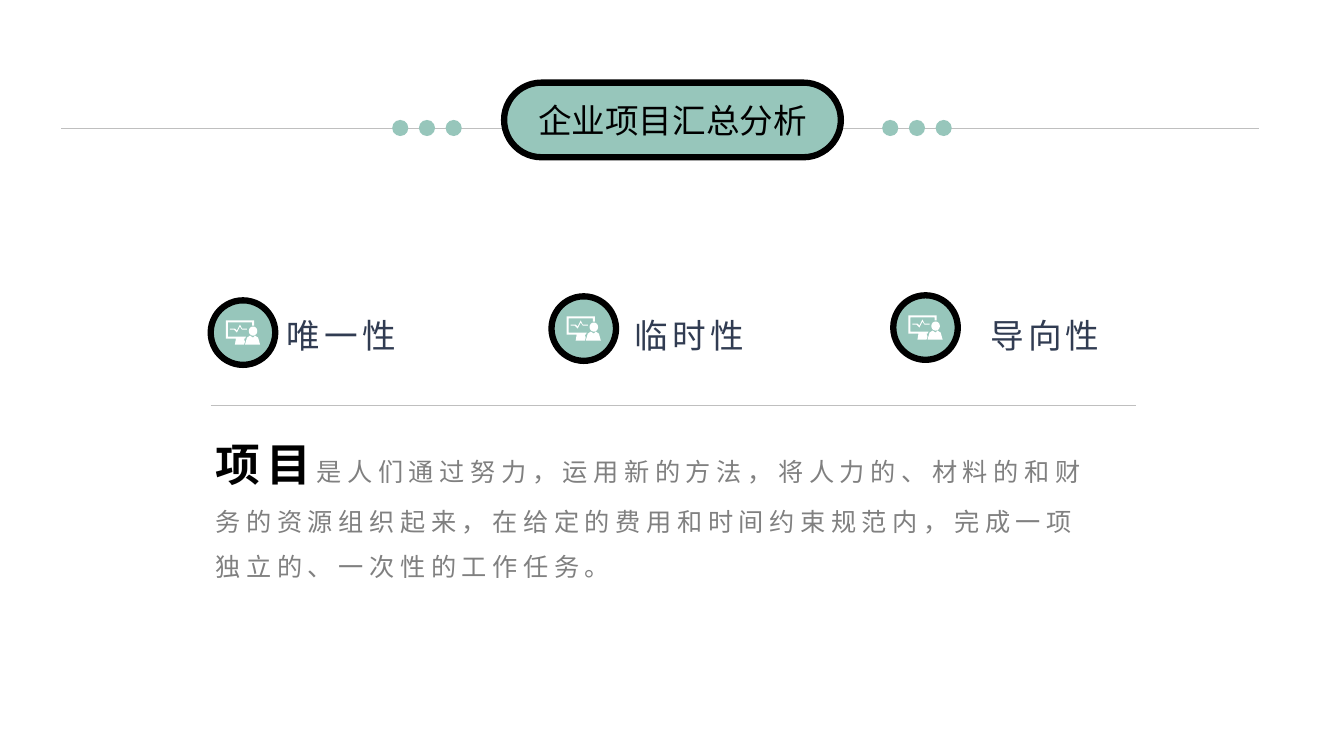
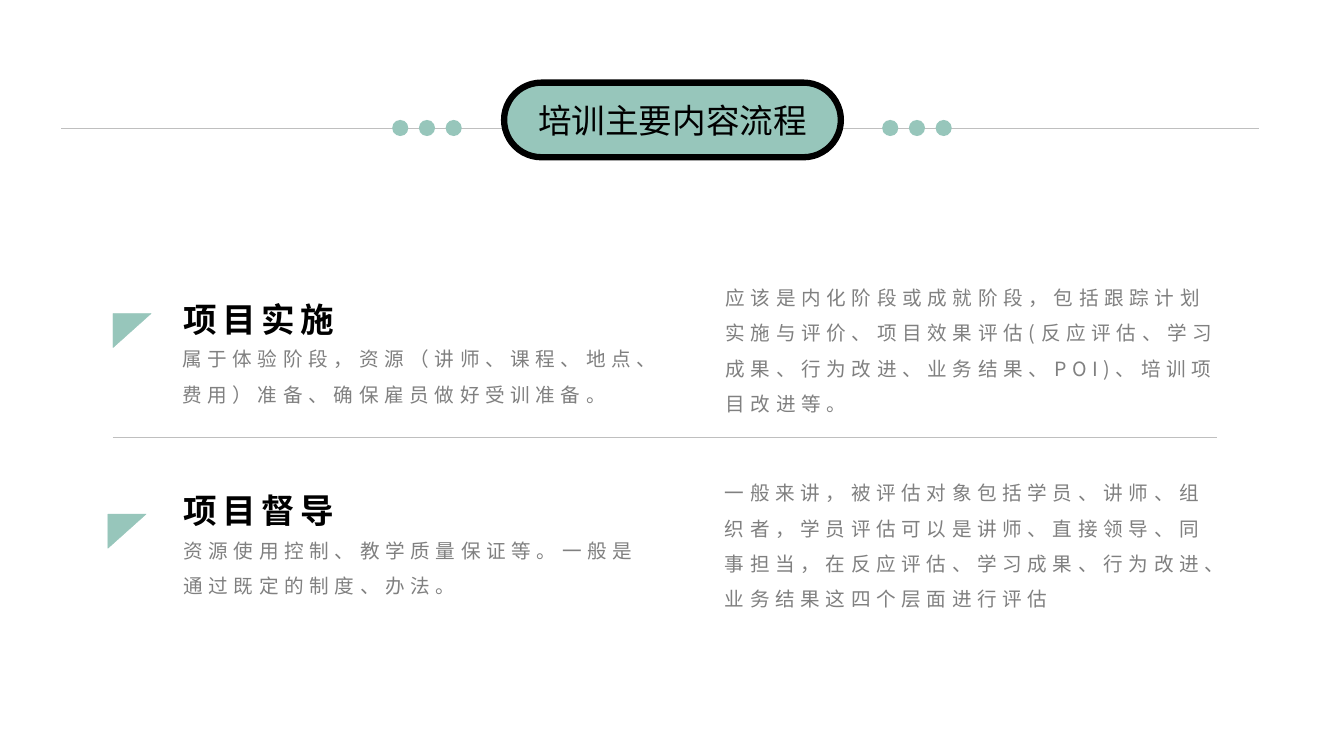
from dataclasses import dataclass
from math import cos, pi, sin

from pptx import Presentation
from pptx.dml.color import RGBColor
from pptx.enum.shapes import MSO_CONNECTOR, MSO_SHAPE
from pptx.enum.text import MSO_ANCHOR, MSO_AUTO_SIZE, PP_ALIGN
from pptx.oxml.ns import qn
from pptx.util import Inches, Pt

# Shared look
MINT, BLACK, WHITE = "97C6BB", "000000", "FFFFFF"
RULE_GREY, TEXT_GREY, NAVY = "BFBFBF", "808080", "313C52"
FONT, LABEL_FONT = "Noto Sans CJK JP", "Noto Sans CJK SC"

# Icon outlines, in hundredths of an inch
SCREEN = [(0, 0), (28, 0), (28, 5), (26, 5), (26, 2), (2, 2), (2, 16), (20, 16),
          (19, 18), (18, 18), (19, 21), (18, 24), (9, 24), (10, 18), (0, 18)]
PULSE = [(4, 8), (9, 8), (11, 10), (14, 4), (16, 8), (21, 8),
         (21, 9), (16, 9), (14, 6), (11, 12), (8, 9), (4, 9)]
BODY = [(24, 15), (27, 17), (29, 15), (32, 17), (34, 24), (19, 24), (21, 17)]
HEAD = [(27 + 4.2 * cos(step * pi / 12), 10.5 + 4.5 * sin(step * pi / 12))
        for step in range(24)]
TRIANGLE = [(0, 0), (38, 0), (0, 34)]


@dataclass
class Feature:
    label: str
    label_left: float
    left: float
    top: float


@dataclass
class Stage:
    heading: str
    summary: str
    detail: str
    marker: tuple[float, float]
    heading_top: float
    summary_box: tuple[float, float, float, float]
    detail_box: tuple[float, float, float, float]


FEATURES = [
    Feature("唯一性", 2.67, 2.09, 2.98),
    Feature("临时性", 6.12, 5.47, 2.94),
    Feature("导向性", 9.65, 8.86, 2.93),
]
STAGES = [
    Stage("项目实施",
          "属于体验阶段，资源（讲师、课程、地点、费用）准备、确保雇员做好受训准备。",
          "应该是内化阶段或成就阶段，包括跟踪计划实施与评价、项目效果评估(反应评估、"
          "学习成果、行为改进、业务结果、POI)、培训项目改进等。",
          (1.12, 3.11), 2.72, (1.71, 3.28, 4.96, 0.77), (7.1, 2.67, 5.17, 1.48)),
    Stage("项目督导",
          "资源使用控制、教学质量保证等。一般是通过既定的制度、办法。",
          "一般来讲，被评估对象包括学员、讲师、组织者，学员评估可以是讲师、直接领导、"
          "同事担当，在反应评估、学习成果、行为改进、业务结果这四个层面进行评估",
          (1.07, 5.1), 4.61, (1.72, 5.18, 4.77, 0.77), (7.09, 4.61, 4.98, 1.48)),
]


# Drawing helpers
def colour(value: str) -> RGBColor:
    return RGBColor.from_string(value)


def paint(shape, fill: str, line: str | None = None, weight: float = 0) -> None:
    shape.shadow.inherit = False
    shape.fill.solid()
    shape.fill.fore_color.rgb = colour(fill)
    if line:
        shape.line.color.rgb = colour(line)
        shape.line.width = Pt(weight)
    else:
        shape.line.fill.background()


def add_span(para, text: str, *, size: float, color: str, font: str = FONT,
             bold: bool = False, spacing: float = 0) -> None:
    span = para.add_run()
    span.text = text
    span.font.size = Pt(size)
    span.font.bold = bold
    span.font.color.rgb = colour(color)
    span.font.name = font
    properties = span.font._element
    properties.set("lang", "zh-CN")
    properties.set("spc", str(int(spacing * 100)))
    east_asian = properties.makeelement(qn("a:ea"), {"typeface": font})
    properties.find(qn("a:latin")).addnext(east_asian)


def add_box(page, left: float, top: float, width: float, height: float, *,
            align=PP_ALIGN.LEFT, line_spacing: float = 1.5):
    box = page.shapes.add_textbox(Inches(left), Inches(top), Inches(width), Inches(height))
    box.text_frame.word_wrap = True
    box.text_frame.auto_size = MSO_AUTO_SIZE.SHAPE_TO_FIT_TEXT
    para = box.text_frame.paragraphs[0]
    para.alignment = align
    para.line_spacing = line_spacing
    return para


def add_preset(shapes, kind, left: float, top: float, width: float, height: float,
               **look):
    shape = shapes.add_shape(kind, Inches(left), Inches(top), Inches(width), Inches(height))
    paint(shape, MINT, **look)
    return shape


def add_rule(page, left: float, right: float, top: float) -> None:
    rule = page.shapes.add_connector(MSO_CONNECTOR.STRAIGHT, Inches(left), Inches(top),
                                     Inches(right), Inches(top))
    rule.line.color.rgb = colour(RULE_GREY)
    rule.line.width = Pt(0.25)
    properties = rule._element.spPr
    properties.append(properties.makeelement(qn("a:effectLst"), {}))


def add_outline(page, outlines, left: float, top: float, fill: str, **look) -> None:
    contours = [[(Inches(x / 100), Inches(y / 100)) for x, y in outline]
                for outline in outlines]
    builder = page.shapes.build_freeform(*contours[0][0])
    for index, (start, *rest) in enumerate(contours):
        if index:
            builder.move_to(*start)
        builder.add_line_segments(rest, close=True)
    paint(builder.convert_to_shape(Inches(left), Inches(top)), fill, **look)


def add_page(deck, title: str):
    page = deck.slides.add_slide(deck.slide_layouts[6])
    add_rule(page, 0.61, 12.49, 1.27)
    pill = add_preset(page.shapes, MSO_SHAPE.ROUNDED_RECTANGLE, 5, 0.82, 3.34, 0.74,
                      line=BLACK, weight=4.5)
    pill.adjustments[0] = 0.5
    pill.text_frame.vertical_anchor = MSO_ANCHOR.MIDDLE
    para = pill.text_frame.paragraphs[0]
    para.alignment = PP_ALIGN.CENTER
    add_span(para, title, size=24, color=BLACK)
    for first_left in (3.89, 8.75):
        dots = page.shapes.add_group_shape()
        for index in range(3):
            add_preset(dots.shapes, MSO_SHAPE.OVAL, first_left + index * 0.265, 1.19,
                       0.16, 0.16)
    return page


# Slides
def add_summary_page(deck) -> None:
    page = add_page(deck, "企业项目汇总分析")
    for feature in FEATURES:
        add_preset(page.shapes, MSO_SHAPE.OVAL, feature.left, feature.top, 0.64, 0.64,
                   line=BLACK, weight=4.5)
        add_outline(page, [SCREEN, PULSE, BODY, HEAD], feature.left + 0.15,
                    feature.top + 0.2, WHITE)
        label = add_box(page, feature.label_left, 3.08, 1.43, 0.5,
                        align=PP_ALIGN.CENTER, line_spacing=1.0)
        add_span(label, feature.label, size=24, color=NAVY, font=LABEL_FONT, spacing=3)
    add_rule(page, 2.09, 11.27, 4.02)
    para = add_box(page, 2.04, 4.02, 9.05, 1.77)
    add_span(para, "项目", size=32, color=BLACK, bold=True, spacing=4)
    add_span(para, "是人们通过努力，运用新的方法，将人力的、材料的和财务的资源组织起来，"
             "在给定的费用和时间约束规范内，完成一项独立的、一次性的工作任务。",
             size=18, color=TEXT_GREY, spacing=4)


def add_process_page(deck) -> None:
    page = add_page(deck, "培训主要内容流程")
    add_rule(page, 1.12, 12.07, 4.34)
    for stage in STAGES:
        add_outline(page, [TRIANGLE], *stage.marker, MINT, line=MINT, weight=0.25)
        heading = add_box(page, 1.72, stage.heading_top, 1.87, 0.64)
        add_span(heading, stage.heading, size=24, color=BLACK, bold=True, spacing=4)
        for text, place in ((stage.summary, stage.summary_box),
                            (stage.detail, stage.detail_box)):
            add_span(add_box(page, *place), text, size=14, color=TEXT_GREY, spacing=4)


def main() -> None:
    deck = Presentation()
    deck.slide_width, deck.slide_height = Inches(13.33), Inches(7.5)
    add_summary_page(deck)
    add_process_page(deck)
    deck.save("out.pptx")


if __name__ == "__main__":
    main()
